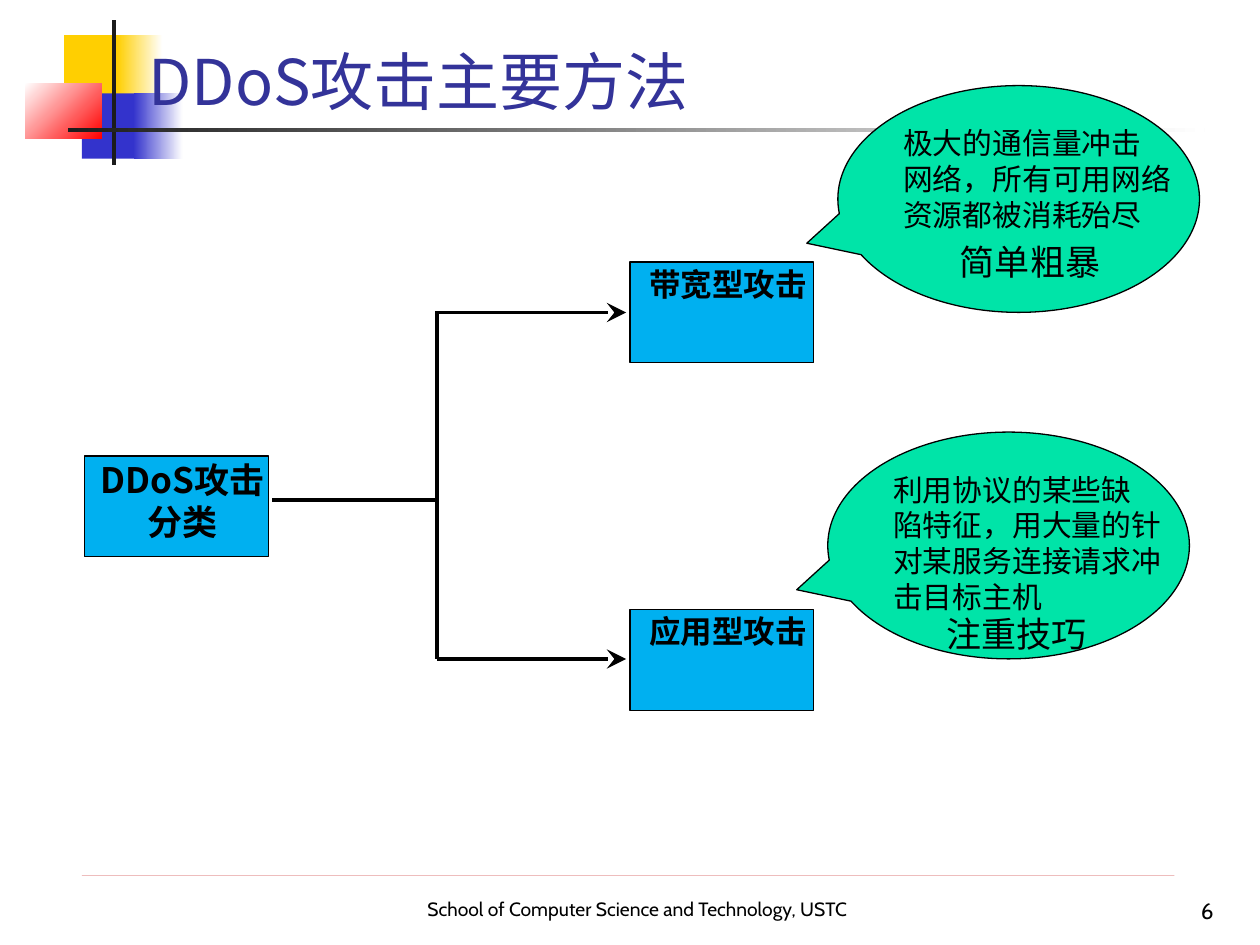
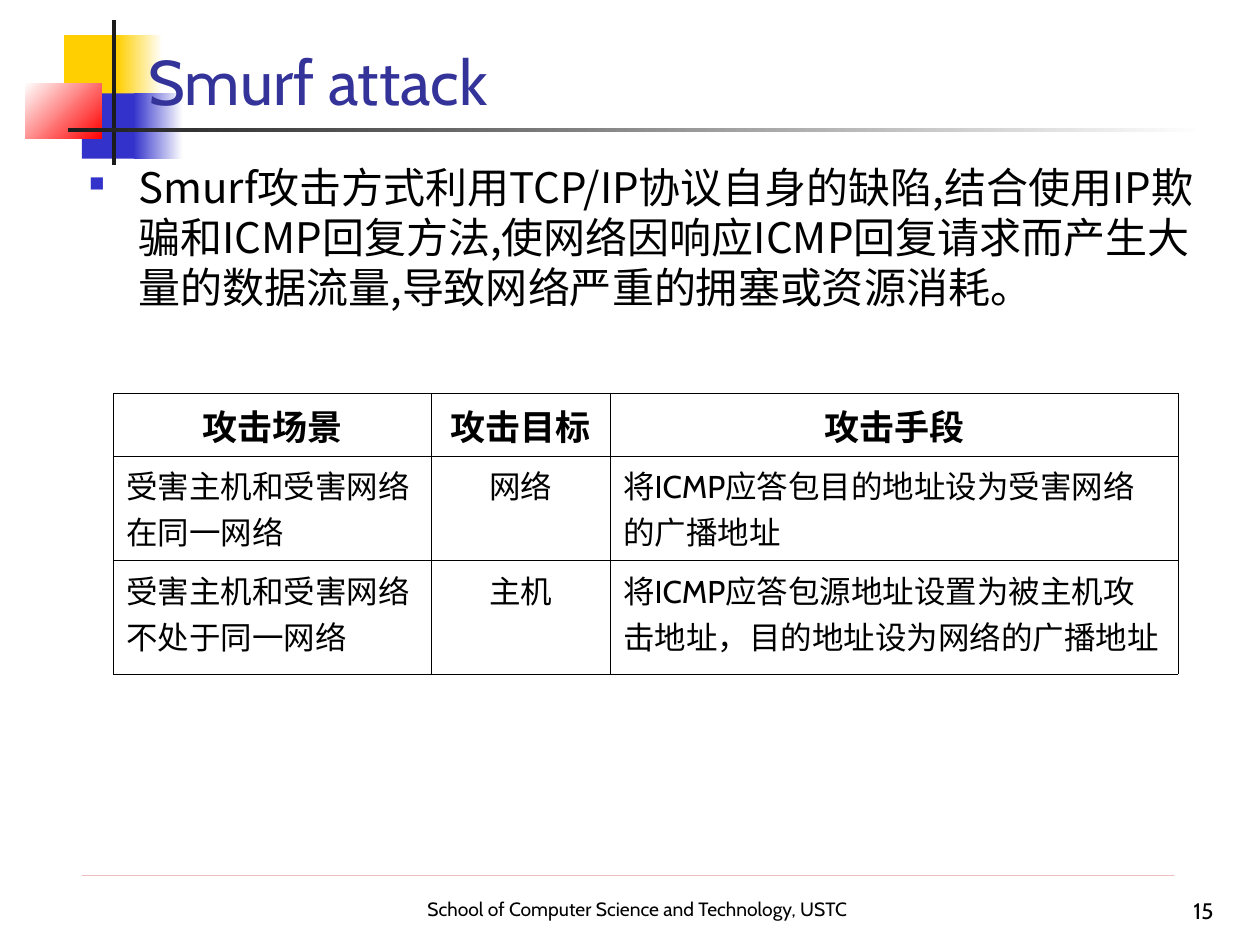
from lxml.etree import SubElement as Sub
from pptx import Presentation
from pptx.dml.color import RGBColor
from pptx.enum.shapes import MSO_CONNECTOR as Link, MSO_SHAPE as Form
from pptx.enum.text import MSO_ANCHOR as Anchor, PP_ALIGN as Align
from pptx.oxml.ns import qn
from pptx.util import Inches, Pt

COLS, ROWS, CELL = 100, 75, 0.1
LATIN, HAN = "Cabin", "Noto Sans CJK SC"
BLACK, WHITE, DARK = "000000", "FFFFFF", "1C1C1C"
GOLD, BLUE, RED, NAVY = "FFCF01", "3333CC", "FF0000", "333399"
SKY, MINT, RULE = "00B0F0", "00E4A8", "C00000"
SIDES = {"l": Align.LEFT, "c": Align.CENTER, "r": Align.RIGHT}


def tint(code):
    """Turn a hex string into a colour."""
    return RGBColor.from_string(code)


def grid(*units):
    """Turn grid units into lengths."""
    return [Inches(round(unit * CELL, 3)) for unit in units]


def shift(box, part):
    """Move a part from its box to the slide."""
    return box[0] + part[0], box[1] + part[1], part[2], part[3]


def mark(para, sign, color, size, indent):
    """Give a paragraph a hanging bullet."""
    prop = para._p.get_or_add_pPr()
    prop.set("marL", str(Inches(indent)))
    prop.set("indent", str(-Inches(indent)))
    prop.set("hangingPunct", "0")
    Sub(Sub(prop, qn("a:buClr")), qn("a:srgbClr"), val=color)
    Sub(prop, qn("a:buSzPct"), val=str(size * 1000))
    Sub(prop, qn("a:buChar"), char=sign)


def write(frame, text, size=18, font=HAN, color=BLACK, bold=False, side="l",
          anchor=Anchor.TOP, inset=(1, 0.5, 1, 0.5), wrap=True, bullet=None):
    """Fill a text frame, one paragraph a line."""
    frame.word_wrap = wrap
    frame.vertical_anchor = anchor
    (frame.margin_left, frame.margin_top,
     frame.margin_right, frame.margin_bottom) = grid(*inset)
    for index, line in enumerate(text.split("\n")):
        para = frame.add_paragraph() if index else frame.paragraphs[0]
        para.alignment = SIDES[side]
        if bullet:
            mark(para, *bullet)
        run = para.add_run()
        run.text = line
        run.font.size, run.font.bold, run.font.name = Pt(size), bold, font
        run.font.color.rgb = tint(color)
        Sub(run._r.get_or_add_rPr(), qn("a:ea"), typeface=HAN)


def label(slide, box, text, **style):
    """Add a text box."""
    write(slide.shapes.add_textbox(*grid(*box)).text_frame, text, **style)


def shape(shapes, box, fill, form=Form.RECTANGLE, edge=None, fade=None, angle=0):
    """Add a preset shape with a plain or fading fill."""
    item = shapes.add_shape(form, *grid(*box))
    item.shadow.inherit = False
    if fade:
        item.fill.gradient()
        item.fill.gradient_angle = angle
        for stop, code in zip(item.fill.gradient_stops, (fill, fade)):
            stop.color.rgb = tint(code)
    else:
        item.fill.solid()
        item.fill.fore_color.rgb = tint(fill)
    if edge:
        item.line.color.rgb = tint(edge)
        item.line.width = Pt(0.75)
    else:
        item.line.fill.background()
    return item


def line(slide, start, end, color=BLACK, width=2.25, head=False, alpha=None):
    """Draw a straight line, with an arrowhead or see-through if asked."""
    item = slide.shapes.add_connector(Link.STRAIGHT, *grid(*start, *end))
    item.line.color.rgb = tint(color)
    item.line.width = Pt(width)
    edge = item.line._get_or_add_ln()
    if alpha:
        Sub(edge.find(".//" + qn("a:srgbClr")), qn("a:alpha"), val=str(alpha * 1000))
    if head:
        Sub(edge, qn("a:tailEnd"), type="stealth", w="lg", len="lg")
    Sub(item._element.spPr, qn("a:effectLst"))


def badge(slide, box):
    """Draw the coloured blocks and the cross beside the title."""
    group = slide.shapes.add_group_shape().shapes
    for part, fill, fade, angle in (
            ((3.1, 1.2, 4.6, 5), GOLD, None, 0),
            ((7.3, 1.2, 3.6, 5), GOLD, WHITE, 0),
            ((4.5, 5.8, 4.6, 5.2), BLUE, None, 0),
            ((8.6, 5.8, 3.9, 5.2), BLUE, WHITE, 0),
            ((0, 5, 6.1, 4.4), WHITE, RED, 315),
            ((6.9, 0, 0.3, 11.5), DARK, None, 0),
            ((3.4, 8.6, 90.2, 0.3), DARK, WHITE, 0)):
        shape(group, shift(box, part), fill, fade=fade, angle=angle)


def footer(slide, box, number):
    """Place the rule, the school and the page number."""
    left, top, wide, _ = box
    line(slide, (left, top), (left + wide, top), RULE, 0.25, alpha=40)
    label(slide, shift(box, (25.7, 1.2, 36.8, 4.7)),
          "School of Computer Science and Technology, USTC",
          size=11, font=LATIN, side="c")
    label(slide, shift(box, (79.7, 0.8, 11.1, 3.5)), number,
          size=12.8, font=LATIN, side="r", anchor=Anchor.BOTTOM)


def page(deck, title, number, font=HAN):
    """Start a slide with the shared parts."""
    slide = deck.slides.add_slide(deck.slide_layouts[6])
    badge(slide, (2, 1.6, 93.6, 11.5))
    footer(slide, (6.5, 69.5, 86.7, 5.5), number)
    label(slide, (10.8, 2.3, 84.4, 7.6), title, size=36, font=font, color=NAVY,
          anchor=Anchor.BOTTOM)
    return slide


def tile(slide, box, text, size):
    """Draw a blue box with a bold name."""
    item = shape(slide.shapes, box, SKY, edge=BLACK)
    write(item.text_frame, text, size=size, bold=True, side="c",
          inset=(1.2, 0.2, 0.2, 0.2))


def branch(slide, box, name, note, brief, bubble, spot):
    """Draw one kind of attack with its balloon and short verdict."""
    tile(slide, box, name, 18)
    item = shape(slide.shapes, shift(box, (*bubble, 28.7, 18)), MINT,
                 Form.OVAL_CALLOUT, BLACK)
    item.adjustments[0], item.adjustments[1] = -0.586, 0.195
    write(item.text_frame, note, size=17, wrap=False)
    label(slide, shift(box, (*spot, 13.1, 4.4)), brief, size=20, wrap=False)


def tree(slide, box):
    """Draw the root, the forked line and both branches."""
    left, top, wide, high = box
    root, fork, tip = top + 18.9, left + 28, left + 43
    ends = top + 4, top + 31.5
    tile(slide, (left, top + 15.4, 14.6, 8), "DDoS攻击分类", 20)
    line(slide, (left + 14.9, root), (fork, root))
    line(slide, (fork, ends[0] - 0.1), (fork, ends[1]))
    for end in ends:
        line(slide, (fork, end), (tip, end), head=True)
    kinds = (
        ("带宽型攻击", "极大的通信量冲击\n网络，所有可用网络\n资源都被消耗殆尽",
         "简单粗暴", (16.5, -14), (25.2, -2.2)),
        ("应用型攻击", "利用协议的某些缺\n陷特征，用大量的针\n对某服务连接请求冲\n击目标主机",
         "注重技巧", (15.7, -14.1), (24.1, -0.3)))
    for index, kind in enumerate(kinds):
        branch(slide, (left + 43.3, top + index * 27.6, 14.6, 8), *kind)


def border(cell):
    """Draw thin black lines round a cell."""
    prop = cell._tc.get_or_add_tcPr()
    for index, side in enumerate(("lnL", "lnR", "lnT", "lnB")):
        edge = prop.makeelement(qn("a:" + side), {"w": str(Pt(0.45))})
        Sub(Sub(edge, qn("a:solidFill")), qn("a:srgbClr"), val=BLACK)
        prop.insert(index, edge)


def chart(slide, box, widths, heights, rows):
    """Place a ruled table with a bold head row."""
    table = slide.shapes.add_table(len(rows), len(widths), *grid(*box)).table
    table.first_row = table.horz_banding = False
    for col, width in zip(table.columns, grid(*widths)):
        col.width = width
    for row, height in zip(table.rows, grid(*heights)):
        row.height = height
    for i, texts in enumerate(rows):
        for j, text in enumerate(texts):
            cell, head = table.cell(i, j), i == 0
            cell.fill.solid()
            cell.fill.fore_color.rgb = tint(WHITE)
            border(cell)
            write(cell.text_frame, text, size=20 if head else 18, bold=head,
                  font=HAN if head else LATIN, side="c" if head or j == 1 else "l")


def kinds(deck):
    """Build the slide on the kinds of DDoS attack."""
    slide = page(deck, "DDoS攻击主要方法", "6")
    tree(slide, (6.7, 20.8, 88.5, 35.6))


def smurf(deck):
    """Build the slide on the Smurf attack."""
    slide = page(deck, "Smurf attack", "15", LATIN)
    label(slide, (6.1, 12.3, 90.4, 56.8),
          "Smurf攻击方式利用TCP/IP协议自身的缺陷,结合使用IP欺骗和ICMP回复方法,"
          "使网络因响应ICMP回复请求而产生大量的数据流量,导致网络严重的拥塞或资源消耗。",
          size=24, bullet=("■", BLUE, 50, 0.39))
    chart(slide, (9, 31.2, 84.5, 22.3), (25.25, 14.2, 45.05), (5, 8.3, 9), (
        ("攻击场景", "攻击目标", "攻击手段"),
        ("受害主机和受害网络\n在同一网络", "网络", "将ICMP应答包目的地址设为受害网络的广播地址"),
        ("受害主机和受害网络\n不处于同一网络", "主机",
         "将ICMP应答包源地址设置为被主机攻击地址，目的地址设为网络的广播地址")))


def main():
    """Build and save the deck."""
    deck = Presentation()
    deck.slide_width, deck.slide_height = grid(COLS, ROWS)
    kinds(deck)
    smurf(deck)
    deck.save("out.pptx")


if __name__ == "__main__":
    main()
